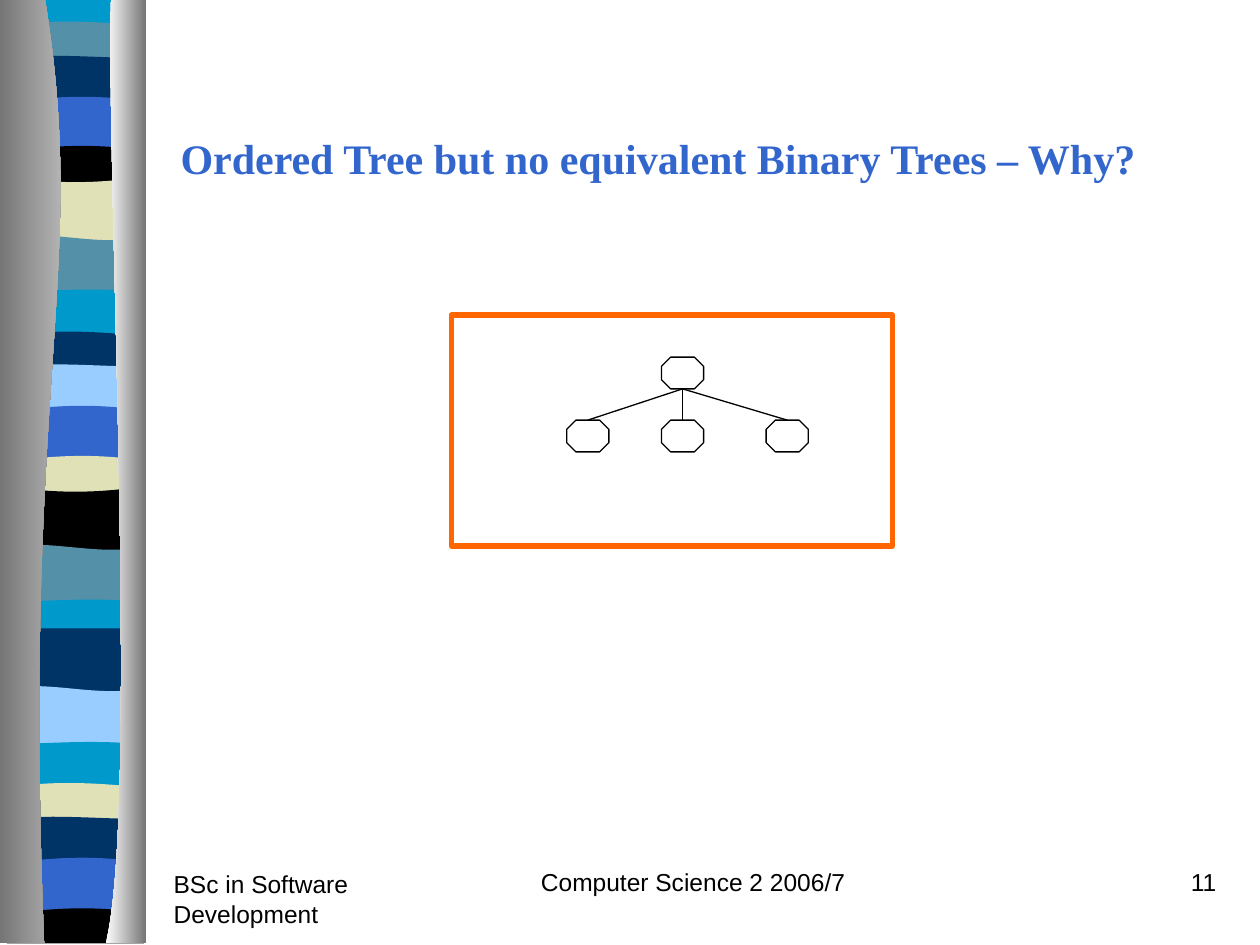
from lxml import etree
from pptx import Presentation
from pptx import util as u
from pptx.dml.color import RGBColor
from pptx.enum import shapes, text
from pptx.oxml import ns

BLACK = RGBColor(0x00, 0x00, 0x00)
NAVY = RGBColor(0x00, 0x33, 0x66)
BLUE = RGBColor(0x33, 0x66, 0xCC)
CYAN = RGBColor(0x00, 0x99, 0xCC)
TEAL = RGBColor(0x54, 0x90, 0xA8)
SKY = RGBColor(0x99, 0xCC, 0xFF)
SAND = RGBColor(0xE1, 0xE1, 0xB7)
ORANGE = RGBColor(0xFF, 0x66, 0x00)
GREY = RGBColor(0x76, 0x76, 0x76)
SILVER = RGBColor(0xD0, 0xD0, 0xD0)
WHITE = RGBColor(0xFF, 0xFF, 0xFF)

FLAT = (0, 0, 0, 0)
CREST = (0, -0.15, -0.1, 0)
RISE = (0, -0.1, 0, 0)
BOW = (0, -0.15, -0.18, -0.03)
SAG = (0, 0.15, 0.15, 0)
RIPPLE = (0, -0.15, 0.2, 0)
LATE = (0, -0.03, -0.1, 0)

BANDS = [
    (0, FLAT, CYAN), (0.53, CREST, TEAL), (1.17, RISE, NAVY),
    (2.08, BOW, BLUE), (3.07, BOW, BLACK), (3.56, SAG, SAND),
    (4.78, RIPPLE, TEAL), (5.89, LATE, CYAN), (6.78, CREST, NAVY),
    (7.39, RISE, SKY), (8.31, BOW, BLUE), (9.32, BOW, SAND),
    (9.8, SAG, BLACK), (11.02, RIPPLE, TEAL), (12.14, LATE, CYAN),
    (12.67, FLAT, NAVY), (13.87, RIPPLE, SKY), (15.01, LATE, CYAN),
    (15.88, CREST, SAND), (16.51, RISE, NAVY), (17.42, BOW, BLUE),
    (18.44, BOW, BLACK),
]


def add_curved(s, curve, corners):
    """Add an outline of one cubic curve closed through straight corners."""
    points = [(u.Cm(x), u.Cm(y)) for x, y in curve + corners]
    builder = s.shapes.build_freeform(*points[0], scale=1.0)
    builder.add_line_segments(points[1:], close=True)
    sp = builder.convert_to_shape()
    segments = list(sp._element.iter(ns.qn("a:lnTo")))[:3]
    bend = etree.Element(ns.qn("a:cubicBezTo"))
    segments[0].addprevious(bend)
    for segment in segments:
        bend.append(segment[0])
        segment.getparent().remove(segment)
    sp.shadow.inherit = False
    sp.line.fill.background()
    return sp


def add_column(s, curve, corners, left_color, right_color):
    """Add a grey column shaded from left to right."""
    fill = add_curved(s, curve, corners).fill
    fill.gradient()
    fill.gradient_angle = 0
    for stop, color in zip(fill.gradient_stops, (left_color, right_color)):
        stop.color.rgb = color


def add_ribbon(s, x, y, w, h):
    """Add the striped ribbon between two curved columns."""
    left, right = x + 0.14, x + w - 0.04
    step = (right - left) / 3
    bottoms = [top + 0.15 for top, _, _ in BANDS[1:]] + [h]
    for (top, offsets, color), bottom in zip(BANDS, bottoms):
        curve = [(left + i * step, y + top + d) for i, d in enumerate(offsets)]
        sp = add_curved(s, curve, [(right, y + bottom), (left, y + bottom)])
        sp.fill.solid()
        sp.fill.fore_color.rgb = color

    inner = [(0.91, 0), (1.8, 5.5), (0.43, 7.52), (0.89, h)]
    outer = [(2.24, 0), (2.13, 3.18), (2.82, 16.41), (2.13, h)]
    for side, controls, colors in ((x, inner, (GREY, SILVER)),
                                   (x + w, outer, (WHITE, GREY))):
        curve = [(x + dx, y + dy) for dx, dy in controls]
        add_column(s, curve, [(side, y + h), (side, y)], *colors)


def add_label(s, x, y, w, h, words, size, font, color=BLACK, bold=False,
              align=text.PP_ALIGN.LEFT):
    """Add a wrapped line of text in its box."""
    tf = s.shapes.add_textbox(u.Cm(x), u.Cm(y), u.Cm(w), u.Cm(h)).text_frame
    tf.word_wrap = True
    tf.text = words
    p = tf.paragraphs[0]
    p.alignment = align
    r = p.runs[0]
    r.font.size, r.font.name, r.font.bold = u.Pt(size), font, bold
    r.font.color.rgb = color


def add_hollow(s, kind, x, y, w, h, color, width):
    """Add an unfilled preset shape."""
    sp = s.shapes.add_shape(kind, u.Cm(x), u.Cm(y), u.Cm(w), u.Cm(h))
    sp.shadow.inherit = False
    sp.fill.background()
    sp.line.color.rgb = color
    sp.line.width = u.Pt(width)
    return sp


def add_branch(s, x1, y1, x2, y2):
    """Add a thin line from a parent to a child."""
    line = s.shapes.add_connector(shapes.MSO_CONNECTOR.STRAIGHT,
                                  u.Cm(x1), u.Cm(y1), u.Cm(x2), u.Cm(y2))
    line.line.color.rgb = BLACK
    line.line.width = u.Pt(0.75)
    etree.SubElement(line._element.spPr, ns.qn("a:effectLst"))


def add_tree(s, x, y, w, h):
    """Add the framed tree of a root and three children."""
    node_w, node_h = 0.85, 0.64
    root_x, root_y, child_y = x + 4.66, y + 0.85, y + 2.12
    children = [x + 2.75, root_x, x + 6.77]
    for child_x in children:
        add_branch(s, root_x, root_y + node_h, child_x, child_y)
    for cx, top in [(root_x, root_y)] + [(c, child_y) for c in children]:
        sp = add_hollow(s, shapes.MSO_SHAPE.OCTAGON, cx - node_w / 2, top,
                        node_w, node_h, BLACK, 0.75)
        sp.adjustments[0] = 0.29
    add_hollow(s, shapes.MSO_SHAPE.RECTANGLE, x, y, w, h, ORANGE, 3)


def add_footer(s, x, y, w, h):
    """Add the course, subject and page number."""
    side_w = 5.28
    add_label(s, x, y + 0.05, side_w, h, "BSc in Software Development", 14, "Arial")
    add_label(s, x + 6.7, y, 8.05, h, "Computer Science 2 2006/7", 14, "Arial",
              align=text.PP_ALIGN.CENTER)
    add_label(s, x + w - side_w, y, side_w, h, "11", 14, "Arial",
              align=text.PP_ALIGN.RIGHT)


def main():
    """Build and save the slide."""
    prs = Presentation()
    prs.slide_width, prs.slide_height = u.Cm(25.4), u.Cm(19.05)
    s = prs.slides.add_slide(prs.slide_layouts[6])
    add_ribbon(s, 0, 0, 2.94, 19.02)
    add_footer(s, 3.25, 17.35, 21.52, 1.27)
    add_label(s, 3.39, 2.54, 20.32, 1.27,
              "Ordered Tree but no equivalent Binary Trees – Why?",
              24, "Times New Roman", BLUE, bold=True)
    add_tree(s, 9.1, 6.35, 8.89, 4.66)
    prs.save("out.pptx")


if __name__ == "__main__":
    main()
